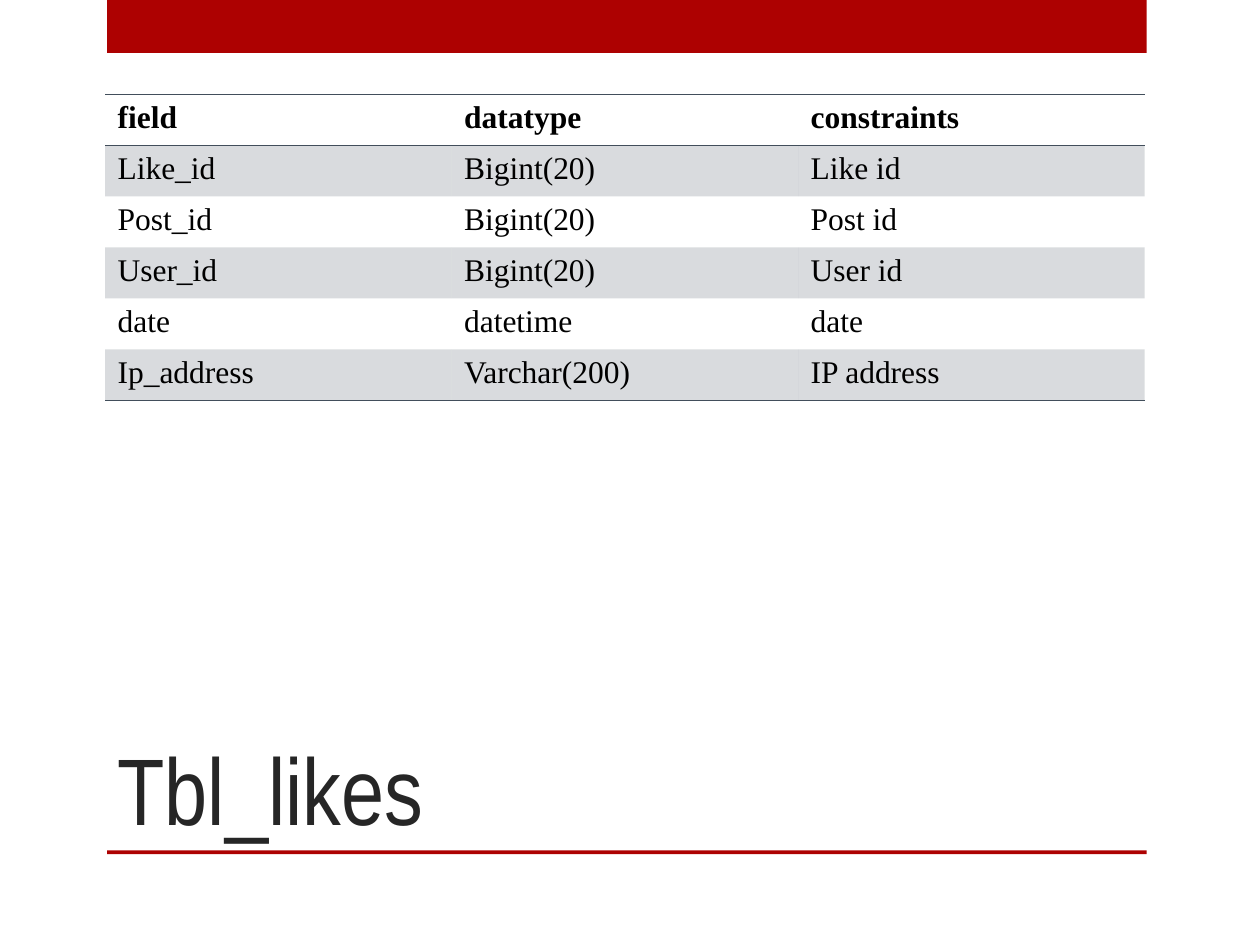
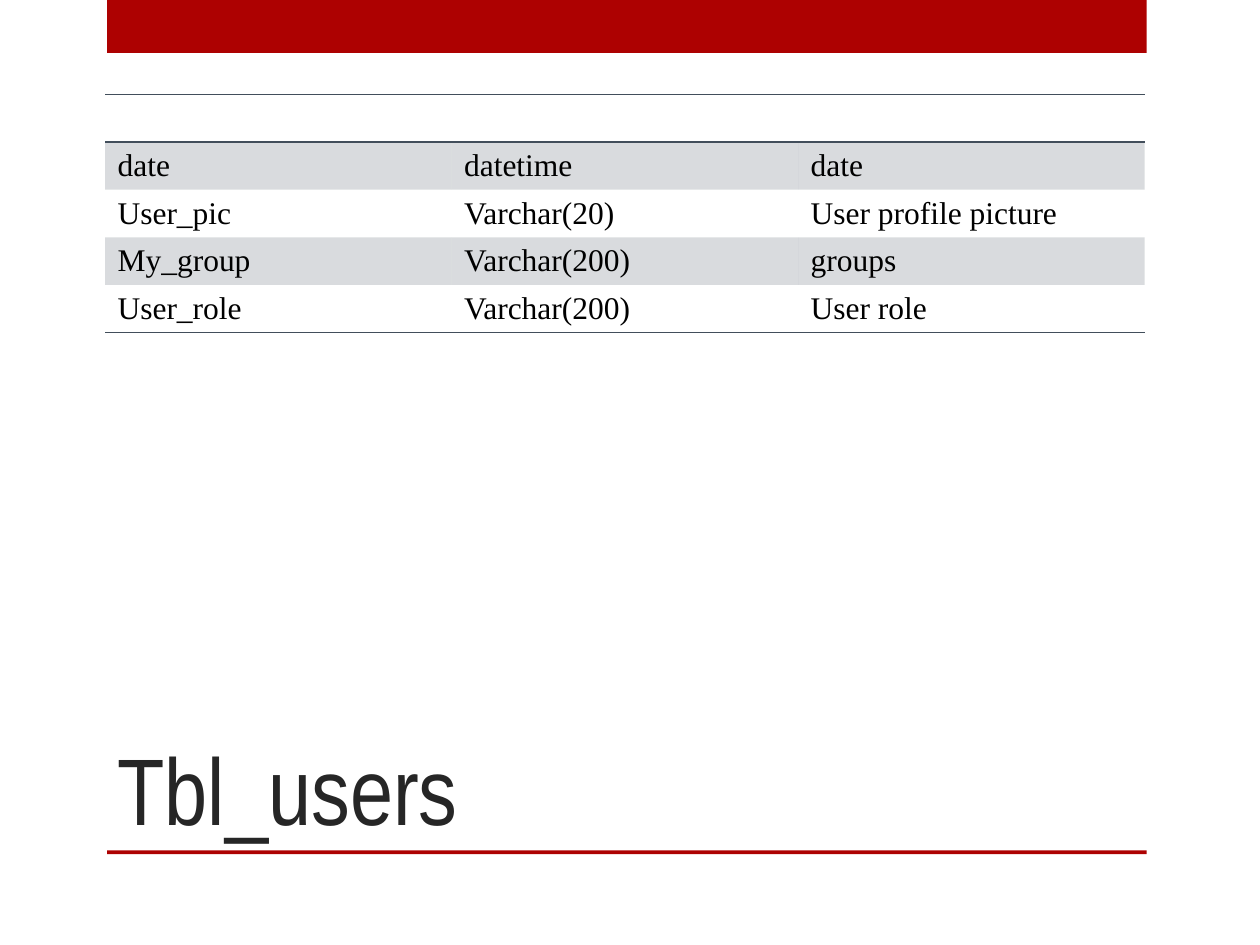
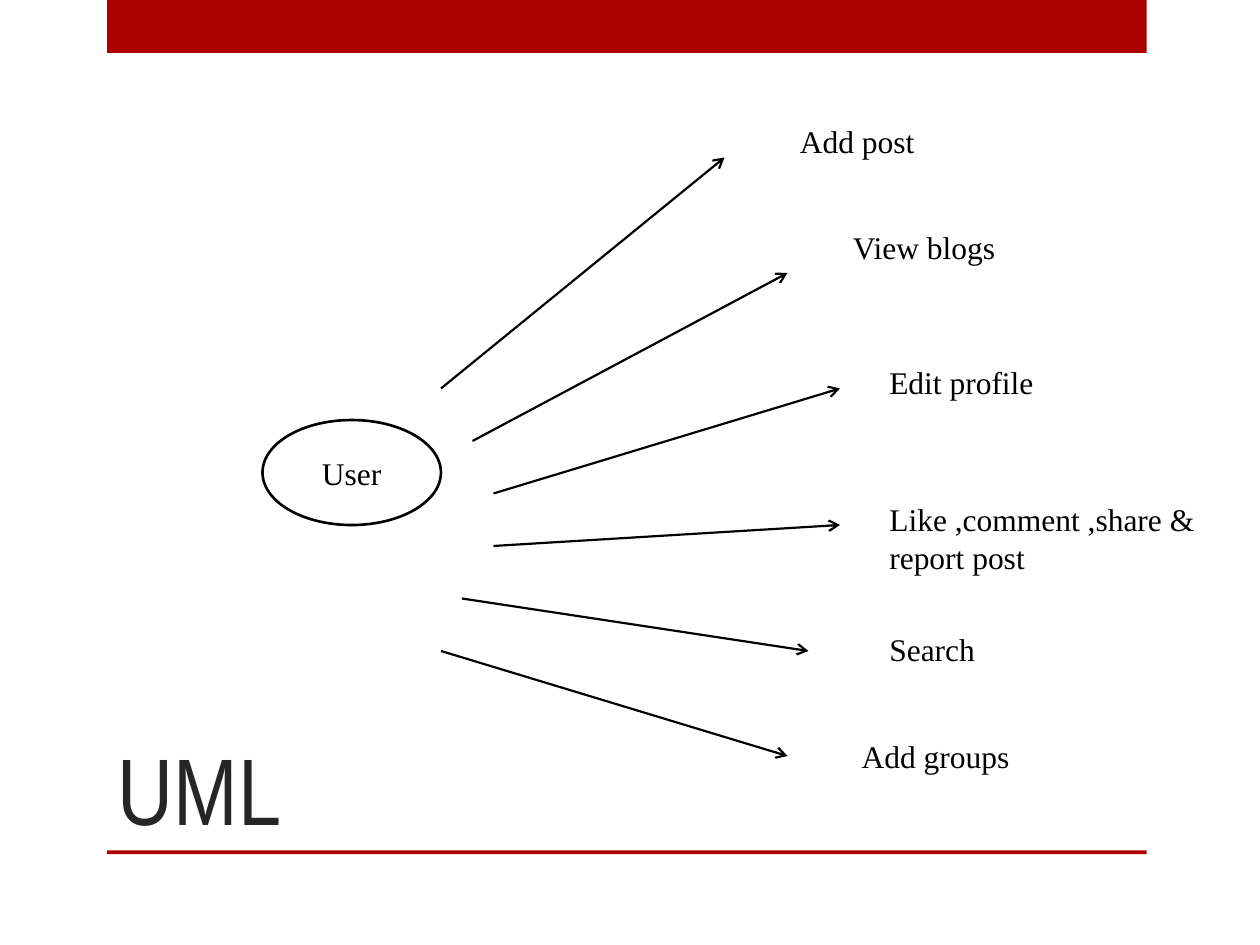
from lxml.etree import SubElement
from pptx import Presentation
from pptx.dml.color import RGBColor
from pptx.enum.shapes import MSO_CONNECTOR, MSO_SHAPE
from pptx.enum.text import MSO_ANCHOR, MSO_AUTO_SIZE, PP_ALIGN
from pptx.oxml import parse_xml
from pptx.oxml.ns import nsdecls, qn
from pptx.util import Inches, Pt

# Content
TABLES = [
    ("Tbl_likes", 2.43, [
        ("field", "datatype", "constraints"),
        ("Like_id", "Bigint(20)", "Like id"),
        ("Post_id", "Bigint(20)", "Post id"),
        ("User_id", "Bigint(20)", "User id"),
        ("date", "datetime", "date"),
        ("Ip_address", "Varchar(200)", "IP address"),
    ]),
    ("Tbl_users", 1.89, [
        ("", "", ""),
        ("date", "datetime", "date"),
        ("User_pic", "Varchar(20)", "User profile picture"),
        ("My_group", "Varchar(200)", "groups"),
        ("User_role", "Varchar(200)", "User role"),
    ]),
]
# Each use case: text, box in inches, arrow ends in grid units
CASES = [
    ("Add post", (6.25, 0.92, 2.25, 0.4), (42, 37, 69, 15)),
    ("View blogs", (6.67, 1.76, 1.58, 0.4), (45, 42, 75, 26)),
    ("Edit profile", (6.96, 2.83, 1.54, 0.4), (47, 47, 80, 37)),
    ("Like ,comment ,share & report post", (6.96, 3.92, 2.88, 0.71), (47, 52, 80, 50)),
    ("Search", (6.96, 4.95, 1.54, 0.4), (44, 57, 77, 62)),
    ("Add groups", (6.74, 5.8, 1.89, 0.4), (42, 62, 75, 72)),
]

# Shared style
RED, SLATE, BLACK, WHITE = "AD0101", "424E5B", "000000", "FFFFFF"
HEAD = {"name": "Arial Narrow", "size": Pt(54), "bold": False}
BODY = {"name": "Times New Roman", "size": Pt(18), "bold": False}
BANDS = [(0.85, 0, 8.25, 0.42), (0.85, 6.75, 8.25, 0.03)]
PLAIN = "{2D5ABB26-0587-4C30-8999-92F81FD0307C}"


def color(code):
    return RGBColor.from_string(code)


def grid(*units):
    """Lengths on a grid of twelve units to the inch."""
    return [Inches(unit / 12) for unit in units]


def inch(box):
    return [Inches(part) for part in box]


def style(font, look, code=BLACK):
    for key, value in look.items():
        setattr(font, key, value)
    font.color.rgb = color(code)


def write(frame, text, look=BODY, code=BLACK, **form):
    para = frame.paragraphs[0]
    para.alignment = form.pop("align", PP_ALIGN.LEFT)
    for key, value in form.items():
        setattr(frame, key, value)
    run = para.add_run()
    run.text = text
    style(run.font, look, code)


def draw(slide, kind, box, fill):
    shape = slide.shapes.add_shape(kind, *box)
    shape.shadow.inherit = False
    shape.fill.solid()
    shape.fill.fore_color.rgb = color(fill)
    shape.line.fill.background()
    return shape


def start(deck, title):
    slide = deck.slides.add_slide(deck.slide_layouts[5])
    head = slide.shapes.title
    head.left, head.top, head.width, head.height = grid(10, 60, 89, 21)
    write(head.text_frame, title, HEAD, "262626", word_wrap=True,
          auto_size=MSO_AUTO_SIZE.NONE, vertical_anchor=MSO_ANCHOR.BOTTOM)
    return slide


def share(slide):
    """Move the red bands to the layout that all slides use."""
    layout = slide.slide_layout
    for holder in list(layout.placeholders)[1:]:
        layout.shapes.element.remove(holder.element)
    for box in BANDS:
        band = draw(slide, MSO_SHAPE.RECTANGLE, inch(box), RED)
        layout.shapes.element.append(band.element)


def border(cell, sides):
    props = cell._tc.get_or_add_tcPr()
    for spot, side in enumerate(sides):
        props.insert(spot, parse_xml(
            f'<a:ln{side} {nsdecls("a")} w="12700"><a:solidFill>'
            f'<a:srgbClr val="{SLATE}"/></a:solidFill></a:ln{side}>'))


def shade(cell, on):
    if not on:
        cell.fill.background()
        return
    cell.fill.solid()
    cell.fill.fore_color.rgb = color(SLATE)
    tint = cell._tc.tcPr.find(".//" + qn("a:srgbClr"))
    SubElement(tint, qn("a:alpha"), val="20000")


def fill_cell(cell, text, row, last):
    if text:
        write(cell.text_frame, text, {**BODY, "bold": row == 0})
    else:
        # A small end mark keeps the empty row at its set height
        SubElement(cell.text_frame.paragraphs[0]._p, qn("a:endParaRPr"), sz="1200")
    shade(cell, row % 2 == 1)
    border(cell, "TB" if row == 0 else "B" if row == last else "")


def add_grid(slide, rows, high):
    left, top, wide = grid(10, 9, 99)
    table = slide.shapes.add_table(
        len(rows), len(rows[0]), left, top, wide, Inches(high)).table
    table._tbl.tblPr.find(qn("a:tableStyleId")).text = PLAIN
    for r, row in enumerate(rows):
        for c, text in enumerate(row):
            fill_cell(table.cell(r, c), text, r, len(rows) - 1)


def add_arrow(slide, ends):
    arrow = slide.shapes.add_connector(MSO_CONNECTOR.STRAIGHT, *grid(*ends))
    arrow.line.color.rgb = color(BLACK)
    arrow.line.width = Pt(1.25)
    SubElement(arrow.line._get_or_add_ln(), qn("a:tailEnd"), type="arrow")
    SubElement(arrow._element.spPr, qn("a:effectLst"))


def add_cases(slide):
    user = draw(slide, MSO_SHAPE.OVAL, grid(25, 40, 17, 10), WHITE)
    user.line.color.rgb = color(BLACK)
    user.line.width = Pt(1.5)
    write(user.text_frame, "User", align=PP_ALIGN.CENTER,
          vertical_anchor=MSO_ANCHOR.MIDDLE)
    for text, box, ends in CASES:
        add_arrow(slide, ends)
        label = slide.shapes.add_textbox(*inch(box))
        write(label.text_frame, text, word_wrap=True,
              auto_size=MSO_AUTO_SIZE.SHAPE_TO_FIT_TEXT)


def main():
    deck = Presentation()
    deck.slide_width, deck.slide_height = Inches(10), Inches(7.5)
    for title, high, rows in TABLES:
        add_grid(start(deck, title), rows, high)
    uml = start(deck, "UML")
    share(uml)
    add_cases(uml)
    deck.save("out.pptx")


if __name__ == "__main__":
    main()
